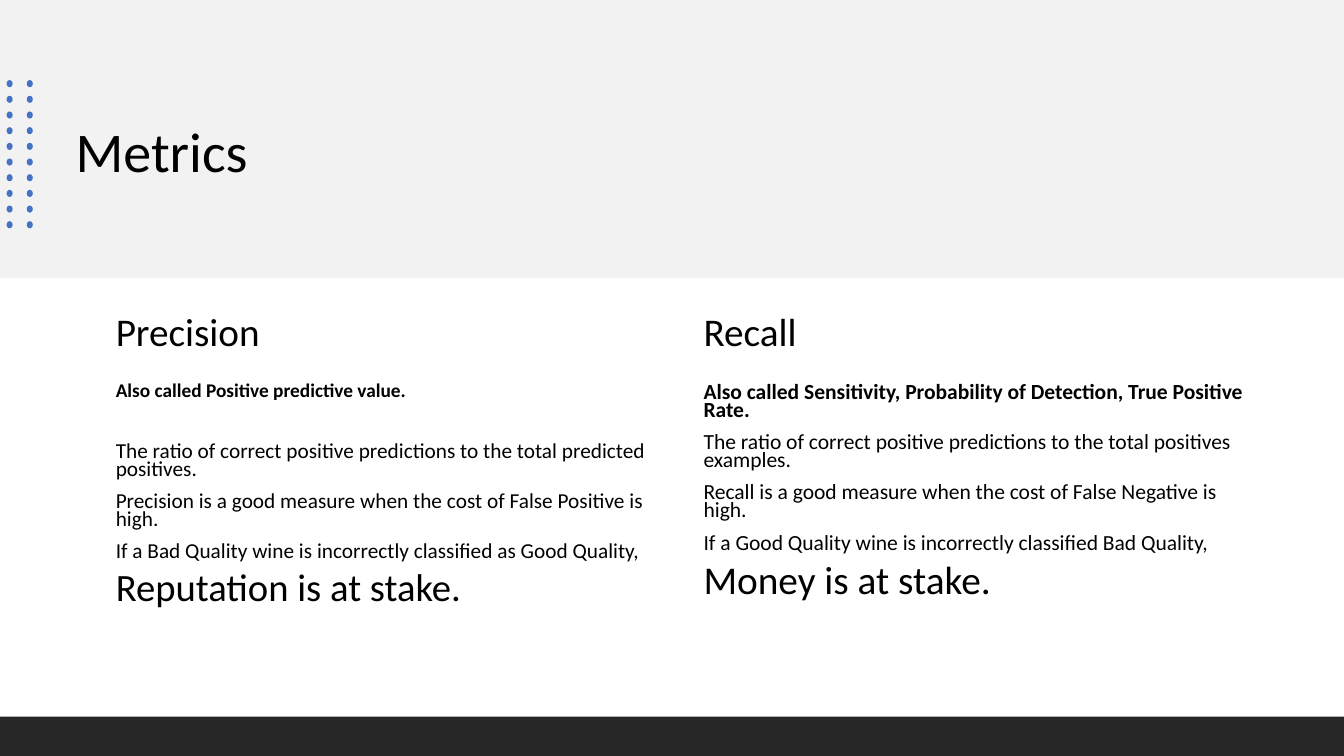
from dataclasses import dataclass

from pptx import Presentation
from pptx.dml.color import RGBColor
from pptx.enum.shapes import MSO_SHAPE
from pptx.enum.text import MSO_ANCHOR, MSO_AUTO_SIZE, PP_ALIGN
from pptx.util import Inches, Pt


@dataclass(frozen=True)
class Theme:
    """Hold the colours, typeface and type sizes of the slide."""

    font: str = "Calibri"
    text: RGBColor = RGBColor(0x00, 0x00, 0x00)
    band: RGBColor = RGBColor(0xF2, 0xF2, 0xF2)
    footer: RGBColor = RGBColor(0x26, 0x26, 0x26)
    dot: RGBColor = RGBColor(0x44, 0x72, 0xC4)
    title_size: float = 40
    heading_size: float = 28
    precision_sizes: tuple = (13.8, 15.2, 15.2, 15.2, 27.6)
    recall_sizes: tuple = (15.4, 15.4, 15.4, 15.4, 28.1)


THEME = Theme()
SLIDE_WIDTH, SLIDE_HEIGHT = 13.33, 7.5
DOT_ROWS, DOT_COLUMNS = 10, 2

PRECISION = (
    "Also called Positive predictive value.",
    "The ratio of correct positive predictions to the total predicted positives.",
    "Precision is a good measure when the cost of False Positive is high.",
    "If a Bad Quality wine is incorrectly classified as Good Quality,",
    "Reputation is at stake.",
)
RECALL = (
    "Also called Sensitivity, Probability of Detection, True Positive Rate.",
    "The ratio of correct positive predictions to the total positives examples.",
    "Recall is a good measure when the cost of False Negative is high.",
    "If a Good Quality wine is incorrectly classified Bad Quality,",
    "Money is at stake.",
)


def format_paragraph(para, text, size, spacing=0.9, before=0, bold=False):
    """Write one left-aligned paragraph in the theme's typeface."""
    para.text = text
    para.alignment = PP_ALIGN.LEFT
    para.line_spacing = spacing
    para.space_before = Pt(before)
    para.font.name = THEME.font
    para.font.size = Pt(size)
    para.font.bold = bold
    para.font.color.rgb = THEME.text


def add_filled_shape(shapes, kind, left, top, width, height, color):
    """Add a plain shape without outline or shadow."""
    shape = shapes.add_shape(kind, Inches(left), Inches(top), Inches(width), Inches(height))
    shape.shadow.inherit = False
    shape.fill.solid()
    shape.fill.fore_color.rgb = color
    shape.line.fill.background()
    return shape


def add_text_box(slide, left, top, width, height):
    """Add a wrapping text box and return its text frame."""
    box = slide.shapes.add_textbox(Inches(left), Inches(top), Inches(width), Inches(height))
    box.text_frame.word_wrap = True
    return box.text_frame


def set_title(slide, text):
    """Place and format the title placeholder."""
    title = slide.shapes.title
    title.left, title.top = Inches(0.65), Inches(0.71)
    title.width, title.height = Inches(5.76), Inches(1.64)
    frame = title.text_frame
    frame.auto_size = MSO_AUTO_SIZE.NONE
    frame.vertical_anchor = MSO_ANCHOR.MIDDLE
    format_paragraph(frame.paragraphs[0], text, THEME.title_size)


def add_dots(slide):
    """Add the grouped grid of dots beside the title."""
    group = slide.shapes.add_group_shape()
    for row in range(DOT_ROWS):
        for column in range(DOT_COLUMNS):
            dot = add_filled_shape(
                group.shapes, MSO_SHAPE.OVAL, 0.06 + 0.2 * column,
                0.8 + 1.4 * row / (DOT_ROWS - 1), 0.07, 0.06, THEME.dot)
            dot.rotation = 90


def add_metric(slide, left, width, heading, lines, sizes, first_gap=10):
    """Add a metric's heading and its explanation below."""
    frame = add_text_box(slide, left, 3.05, width, 0.68)
    format_paragraph(frame.paragraphs[0], heading, THEME.heading_size)
    frame = add_text_box(slide, left, 3.77, width, 3.02)
    gaps = (0, first_gap, 10, 10, 10)
    for index, (line, size, gap) in enumerate(zip(lines, sizes, gaps)):
        para = frame.add_paragraph() if index else frame.paragraphs[0]
        format_paragraph(para, line, size, 0.7, gap, index == 0)


def main():
    """Build and save the metrics slide."""
    deck = Presentation()
    deck.slide_width, deck.slide_height = Inches(SLIDE_WIDTH), Inches(SLIDE_HEIGHT)
    slide = deck.slides.add_slide(deck.slide_layouts.get_by_name("Title Only"))
    set_title(slide, "Metrics")
    band = add_filled_shape(
        slide.shapes, MSO_SHAPE.RECTANGLE, 0, 0, SLIDE_WIDTH, 2.76, THEME.band)
    slide.shapes.title.element.addprevious(band.element)
    add_dots(slide)
    add_filled_shape(
        slide.shapes, MSO_SHAPE.RECTANGLE, 0, 7.11, SLIDE_WIDTH, 0.39, THEME.footer)
    add_metric(slide, 1.05, 5.64, "Precision", PRECISION, THEME.precision_sizes, first_gap=31)
    add_metric(slide, 6.88, 5.67, "Recall", RECALL, THEME.recall_sizes)
    deck.save("out.pptx")


if __name__ == "__main__":
    main()
